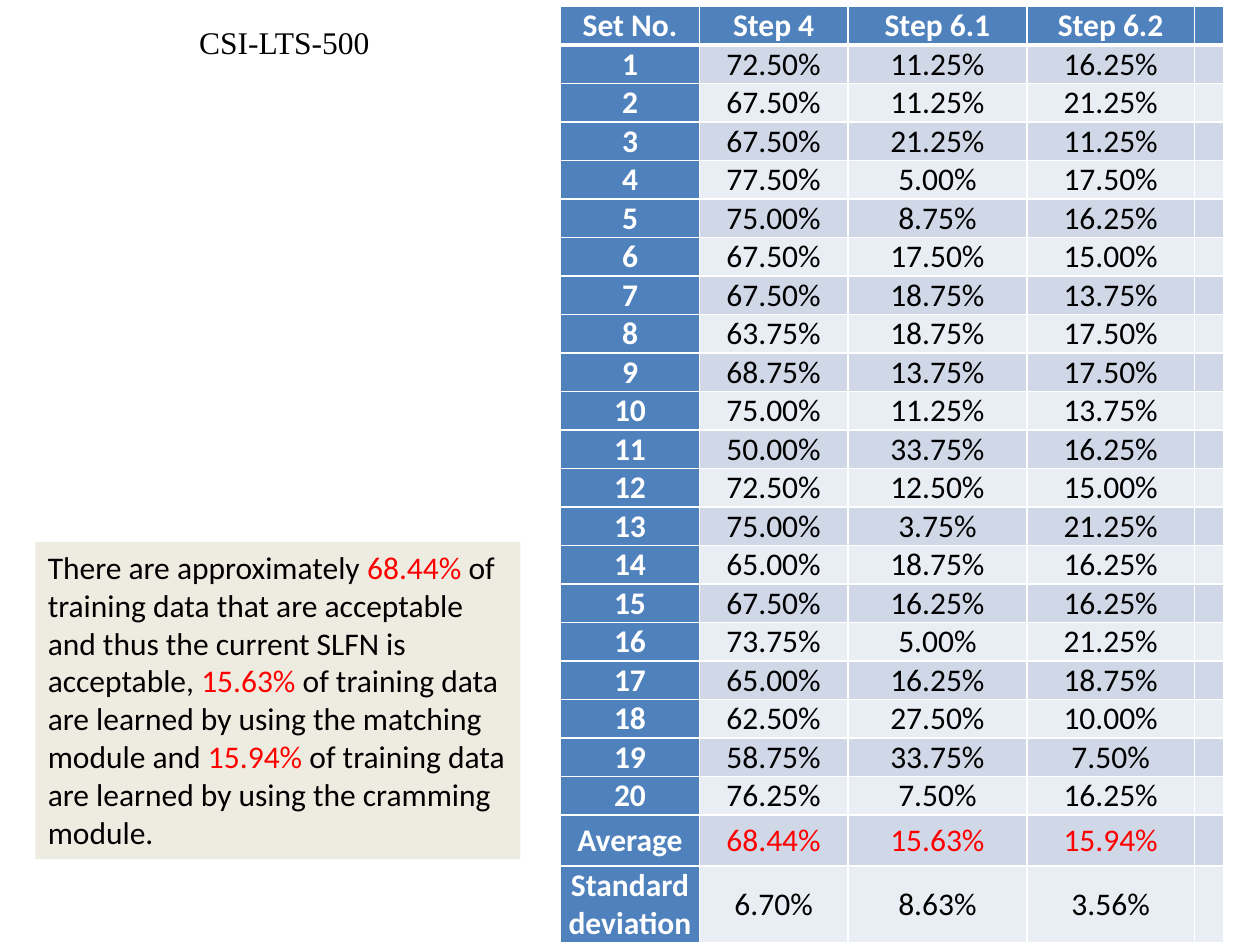
from lxml import etree
from pptx import Presentation
from pptx.dml.color import RGBColor
from pptx.enum import shapes, text
from pptx.oxml import ns
from pptx.util import Pt

WHITE = RGBColor(0xFF, 0xFF, 0xFF)
BLACK = RGBColor(0, 0, 0)
RED = RGBColor(0xFF, 0, 0)
BLUE = RGBColor(0x4F, 0x81, 0xBD)
BAND_DARK = RGBColor(0xD0, 0xD8, 0xE8)
BAND_LIGHT = RGBColor(0xE9, 0xED, 0xF4)
CREAM = RGBColor(0xEE, 0xEC, 0xE1)

HEADER = ("Set No.", "Step 4", "Step 6.1", "Step 6.2")
SETS = (
    (72.50, 11.25, 16.25), (67.50, 11.25, 21.25), (67.50, 21.25, 11.25),
    (77.50, 5.00, 17.50), (75.00, 8.75, 16.25), (67.50, 17.50, 15.00),
    (67.50, 18.75, 13.75), (63.75, 18.75, 17.50), (68.75, 13.75, 17.50),
    (75.00, 11.25, 13.75), (50.00, 33.75, 16.25), (72.50, 12.50, 15.00),
    (75.00, 3.75, 21.25), (65.00, 18.75, 16.25), (67.50, 16.25, 16.25),
    (73.75, 5.00, 21.25), (65.00, 16.25, 18.75), (62.50, 27.50, 10.00),
    (58.75, 33.75, 7.50), (76.25, 7.50, 16.25),
)
AVERAGE = (68.44, 15.63, 15.94)
DEVIATION = (6.70, 8.63, 3.56)
COL_WIDTHS = (79.2, 85, 102.2, 95.8, 16.6)
ROW_HEIGHTS = [22] * (len(SETS) + 1) + [29.2, 44]
SUMMARY = (
    ("There are approximately ", BLACK), ("68.44% ", RED),
    ("of training data that are acceptable and thus the current SLFN is "
     "acceptable, ", BLACK),
    ("15.63%", RED),
    (" of training data are learned by using the matching module and ", BLACK),
    ("15.94% ", RED),
    ("of training data are learned by using the cramming module.", BLACK),
)


def add_run(p, words, color, font="Calibri", bold=False):
    r = p.add_run()
    r.text = words
    r.font.name, r.font.size, r.font.bold = font, Pt(18), bold
    r.font.color.rgb = color


def set_borders(cell, bottom):
    """White lines on all four sides; they must precede the cell's fill."""
    tc_pr = cell._tc.get_or_add_tcPr()
    for side in ("lnL", "lnR", "lnT", "lnB"):
        width = Pt(bottom if side == "lnB" else 1)
        ln = etree.SubElement(tc_pr, ns.qn("a:" + side), w=str(width))
        fill = etree.SubElement(ln, ns.qn("a:solidFill"))
        etree.SubElement(fill, ns.qn("a:srgbClr"), val=str(WHITE))


def add_title(s, x, y, w, h):
    tf = s.shapes.add_textbox(Pt(x), Pt(y), Pt(w), Pt(h)).text_frame
    tf.word_wrap = True
    p = tf.paragraphs[0]
    p.alignment = text.PP_ALIGN.CENTER
    add_run(p, "CSI-LTS-500", BLACK, "Times New Roman")


def add_summary(s, x, y, w, h):
    sp = s.shapes.add_shape(shapes.MSO_SHAPE.RECTANGLE,
                            Pt(x), Pt(y), Pt(w), Pt(h))
    sp.shadow.inherit = False
    sp.fill.solid()
    sp.fill.fore_color.rgb = CREAM
    sp.line.fill.background()
    tf = sp.text_frame
    tf.word_wrap = True
    tf.auto_size = text.MSO_AUTO_SIZE.SHAPE_TO_FIT_TEXT
    tf.vertical_anchor = text.MSO_ANCHOR.TOP
    p = tf.paragraphs[0]
    p.alignment = text.PP_ALIGN.LEFT
    for words, color in SUMMARY:
        add_run(p, words, color)


def add_results(s, x, y, w, h):
    labels = [str(n + 1) for n in range(len(SETS))]
    labels += ["Average", "Standard deviation"]
    values = [*SETS, AVERAGE, DEVIATION]
    rows = [HEADER] + [(label, *(f"{v:.2f}%" for v in vals))
                       for label, vals in zip(labels, values)]
    table = s.shapes.add_table(len(rows), len(COL_WIDTHS),
                               Pt(x), Pt(y), Pt(w), Pt(h)).table
    for col, width in zip(table.columns, COL_WIDTHS):
        col.width = Pt(width)
    for i, row in enumerate(rows):
        table.rows[i].height = Pt(ROW_HEIGHTS[i])
        for j in range(len(COL_WIDTHS)):
            cell = table.cell(i, j)
            heading = i == 0 or j == 0
            set_borders(cell, 3 if i == 0 else 1)
            cell.fill.solid()
            cell.fill.fore_color.rgb = (
                BLUE if heading else BAND_DARK if i % 2 else BAND_LIGHT)
            cell.margin_top = cell.margin_bottom = 0
            cell.margin_left = cell.margin_right = Pt(4.5 if heading else 5)
            cell.vertical_anchor = text.MSO_ANCHOR.MIDDLE
            if j < len(row):  # the narrow last column stays empty
                p = cell.text_frame.paragraphs[0]
                p.alignment = text.PP_ALIGN.CENTER
                color = (WHITE if heading
                         else RED if row[0] == "Average" else BLACK)
                add_run(p, row[j], color, bold=heading)


def main():
    prs = Presentation()
    prs.slide_width, prs.slide_height = Pt(720), Pt(540)
    s = prs.slides.add_slide(prs.slide_layouts[6])
    # Results table on the right
    add_results(s, 320.4, 3.8, sum(COL_WIDTHS), sum(ROW_HEIGHTS))
    # Reading of the averages, then the data set's name
    add_summary(s, 20.2, 309.6, 277.2, 181.4)
    add_title(s, 20.2, 9.4, 284.4, 33.8)
    prs.save("out.pptx")


if __name__ == "__main__":
    main()
